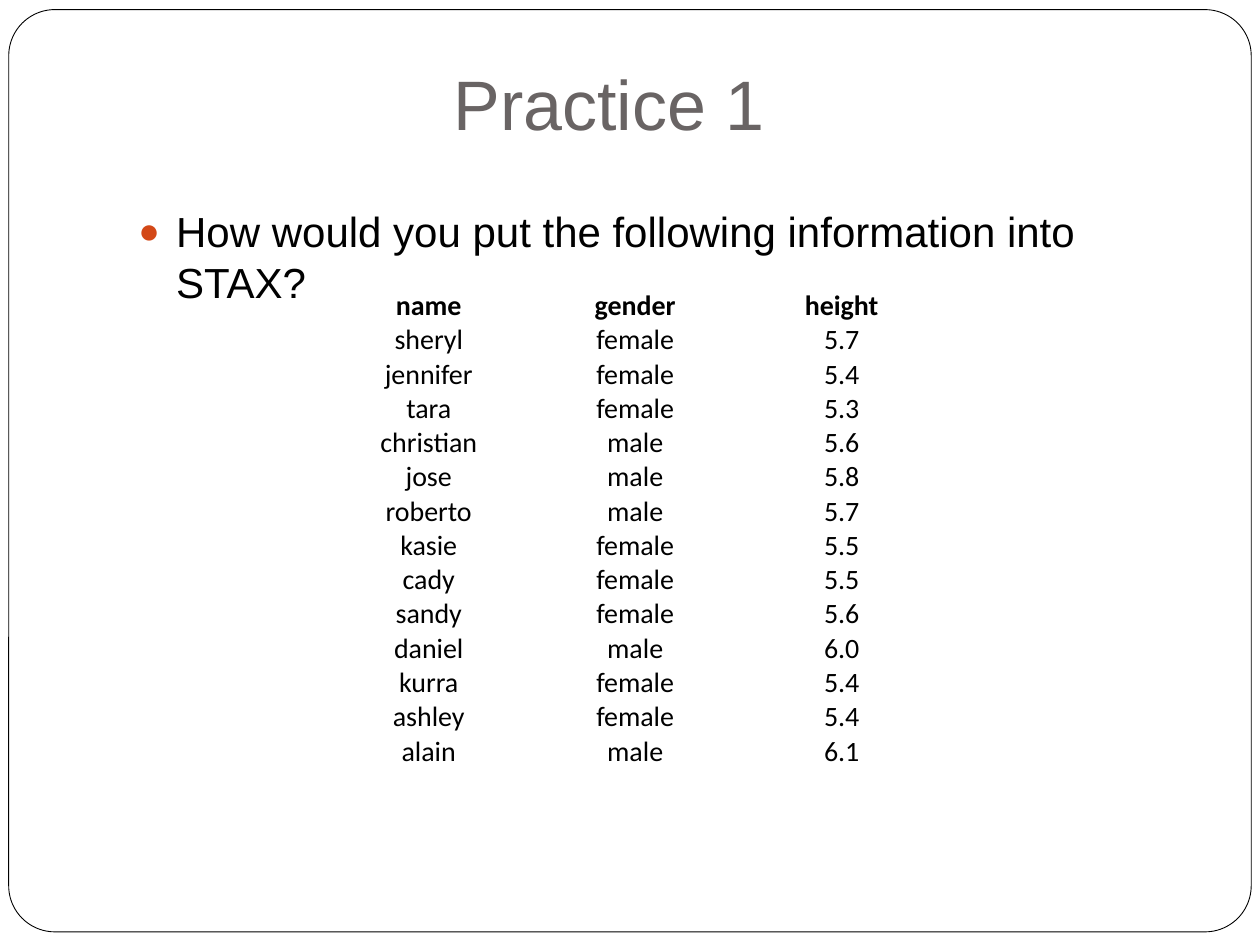
import pptx
import pptx.util
import pptx.dml.color
import pptx.enum.shapes
import pptx.enum.text
import pptx.oxml
import pptx.oxml.ns

Pt = pptx.util.Pt
ALIGN = pptx.enum.text.PP_ALIGN
ANCHOR = pptx.enum.text.MSO_ANCHOR


def color(value):
    return pptx.dml.color.RGBColor.from_string(value)


def write(tf, text, size=16, font="Arial", fill="000000", bold=False, align=ALIGN.CENTER):
    tf.word_wrap = True
    p = tf.paragraphs[0]
    p.alignment = align
    r = p.add_run()
    r.text = text
    r.font.size = Pt(size)
    r.font.name = font
    r.font.bold = bold
    r.font.color.rgb = color(fill)
    return p


prs = pptx.Presentation()
prs.slide_width, prs.slide_height = Pt(720), Pt(540)
s = prs.slides.add_slide(prs.slide_layouts[6])

# Rounded frame
sp = s.shapes.add_shape(pptx.enum.shapes.MSO_SHAPE.ROUNDED_RECTANGLE,
                        Pt(5), Pt(5.5), Pt(710), Pt(527))
sp.adjustments[0] = 0.05
sp.shadow.inherit = False
sp.fill.solid()
sp.fill.fore_color.rgb = color("FFFFFF")
sp.line.color.rgb = color("000000")
sp.line.width = Pt(0.5)

# Title
tf = s.shapes.add_textbox(Pt(42), Pt(24), Pt(612), Pt(66)).text_frame
tf.vertical_anchor = ANCHOR.BOTTOM
tf.margin_bottom = Pt(7.2)
write(tf, "Practice 1", size=40, fill="696464")

# Bulleted question
tf = s.shapes.add_textbox(Pt(72), Pt(114), Pt(612), Pt(360)).text_frame
p = write(tf, "How would you put the following information into STAX?",
          size=24, align=ALIGN.LEFT)
p.space_before = Pt(5.8)
pPr = p._p.get_or_add_pPr()
pPr.set("marL", str(Pt(21.6)))
pPr.set("indent", str(Pt(-21.6)))
ns = pptx.oxml.ns.nsdecls("a")
for xml in (f'<a:buClr {ns}><a:srgbClr val="D34817"/></a:buClr>',
            f'<a:buSzPct {ns} val="85000"/>',
            f'<a:buFont {ns} typeface="Arial"/>',
            f'<a:buChar {ns} char="●"/>'):
    pPr.append(pptx.oxml.parse_xml(xml))

# Data table
rows = [
    ("name", "gender", "height"),
    ("sheryl", "female", "5.7"),
    ("jennifer", "female", "5.4"),
    ("tara", "female", "5.3"),
    ("christian", "male", "5.6"),
    ("jose", "male", "5.8"),
    ("roberto", "male", "5.7"),
    ("kasie", "female", "5.5"),
    ("cady", "female", "5.5"),
    ("sandy", "female", "5.6"),
    ("daniel", "male", "6.0"),
    ("kurra", "female", "5.4"),
    ("ashley", "female", "5.4"),
    ("alain", "male", "6.1"),
]
row_height = 19.6
table = s.shapes.add_table(len(rows), 3, Pt(186), Pt(165), Pt(354),
                           Pt(row_height * len(rows))).table
table.first_row = table.horz_banding = False
# Plain style without grid lines
table._tbl.tblPr.find(pptx.oxml.ns.qn("a:tableStyleId")).text = \
    "{2D5ABB26-0587-4C30-8999-92F81FD0307C}"
for i, row in enumerate(rows):
    table.rows[i].height = Pt(row_height)
    for j, text in enumerate(row):
        cell = table.cell(i, j)
        cell.fill.background()
        cell.vertical_anchor = ANCHOR.BOTTOM
        cell.margin_left = cell.margin_right = 0
        cell.margin_top = cell.margin_bottom = 0
        write(cell.text_frame, text, font="Calibri", bold=i == 0)

prs.save("out.pptx")
